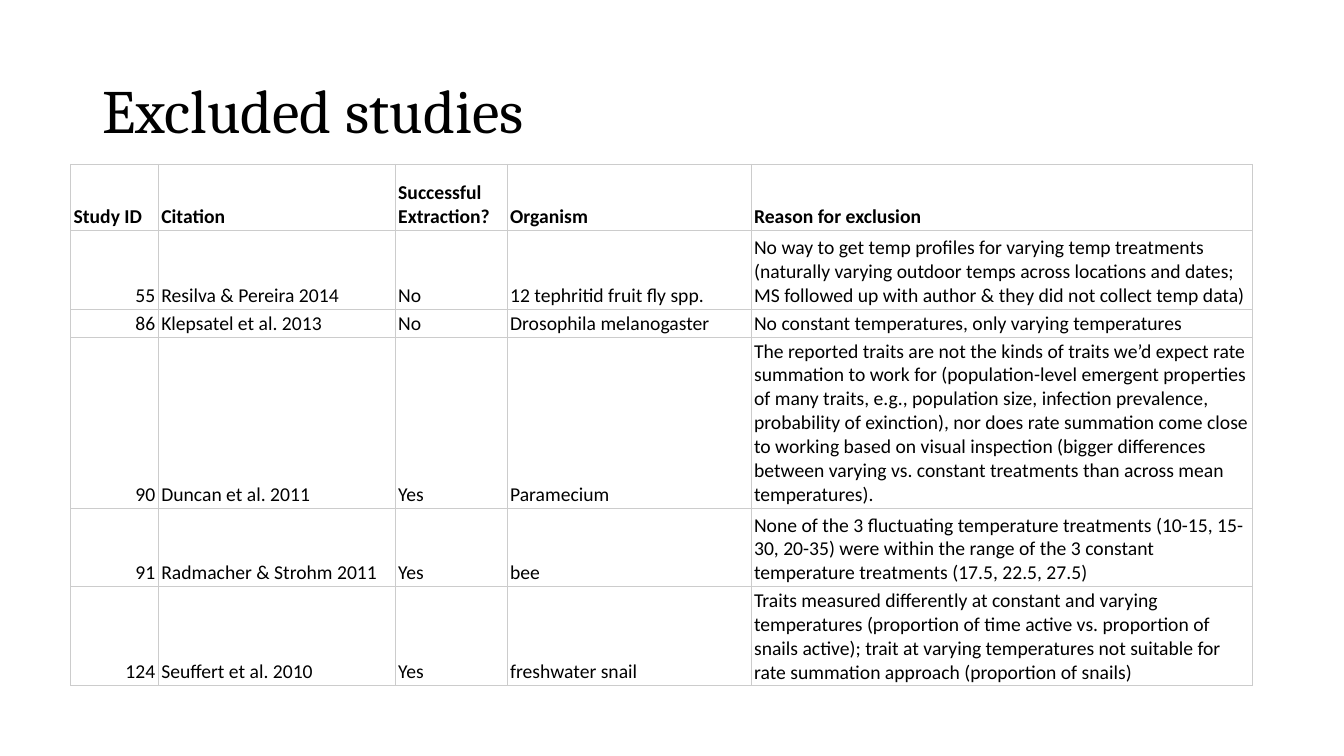
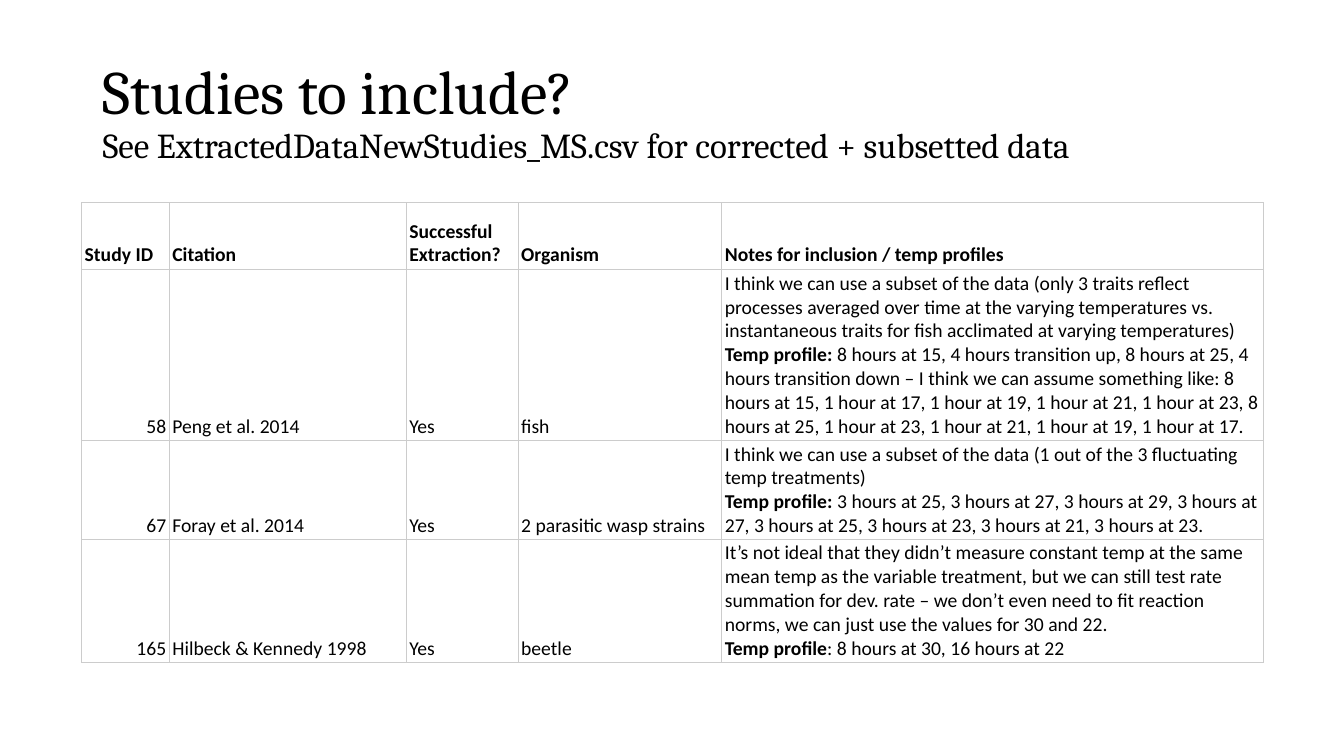
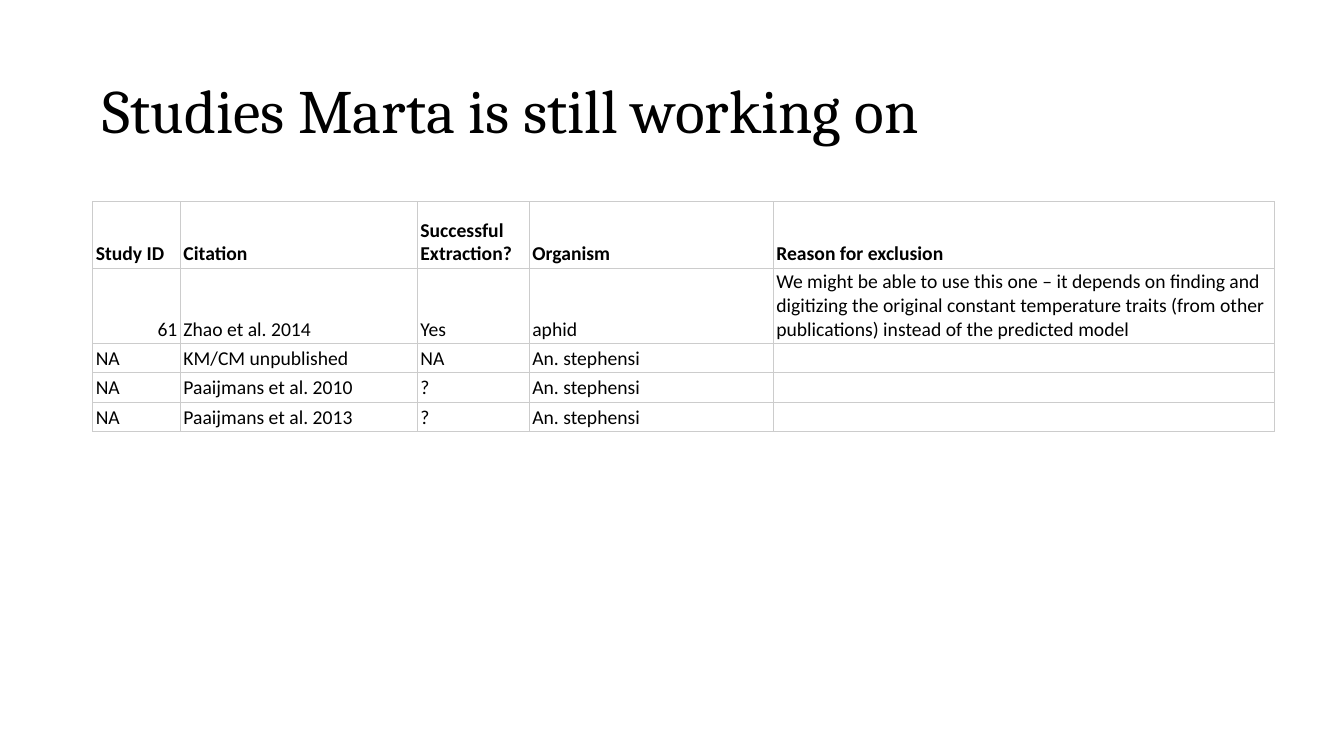
from dataclasses import dataclass
from typing import NamedTuple

import lxml.etree
import pptx
import pptx.dml.color
import pptx.enum.text
import pptx.oxml.ns
import pptx.util
from pptx.util import Inches

# Shared look
COLORS = {"text": "000000", "border": "CCCCCC"}
TITLE_FONT, TABLE_FONT = "Cambria", "Calibri"
TITLE_SIZE, SUBTITLE_SIZE, TABLE_SIZE = 44, 25, 14
BORDER_WIDTH = 0.75
HEADER_HEIGHT = 0.66
LINE_ROW = 0.29
COMMON_HEADERS = ("Study ID", "Citation", "Successful Extraction?", "Organism")
COMMON_WIDTHS = (0.87, 2.35, 1.11)
REASON_WIDTHS = (2.42, 4.97)
NOTES_WIDTHS = (2.02, 5.37)


class Note(NamedTuple):
    """A paragraph that may open with bold words."""
    text: str
    lead: str = ""


class Study(NamedTuple):
    height: float
    study_id: str
    citation: str
    extracted: str
    organism: str
    notes: tuple[Note, ...] = (Note(""),)


@dataclass(frozen=True)
class StudySlide:
    title: str
    left: float
    top: float
    last_header: str
    last_widths: tuple[float, float]
    studies: tuple[Study, ...]
    subtitle: str = ""


# Content
SLIDES = (
    StudySlide("Excluded studies", 0.7, 1.63, "Reason for exclusion", REASON_WIDTHS, (
        Study(0.78, "55", "Resilva & Pereira 2014", "No", "12 tephritid fruit fly spp.", (
            Note("No way to get temp profiles for varying temp treatments (naturally varying "
                 "outdoor temps across locations and dates; MS followed up with author & they "
                 "did not collect temp data)"),)),
        Study(0.27, "86", "Klepsatel et al. 2013", "No", "Drosophila melanogaster", (
            Note("No constant temperatures, only varying temperatures"),)),
        Study(1.7, "90", "Duncan et al. 2011", "Yes", "Paramecium", (
            Note("The reported traits are not the kinds of traits we’d expect rate summation to "
                 "work for (population-level emergent properties of many traits, e.g., "
                 "population size, infection prevalence, probability of exinction), nor does "
                 "rate summation come close to working based on visual inspection (bigger "
                 "differences between varying vs. constant treatments than across mean "
                 "temperatures)."),)),
        Study(0.78, "91", "Radmacher & Strohm 2011", "Yes", "bee", (
            Note("None of the 3 fluctuating temperature treatments (10-15, 15-30, 20-35) were "
                 "within the range of the 3 constant temperature treatments "
                 "(17.5, 22.5, 27.5)"),)),
        Study(0.98, "124", "Seuffert et al. 2010", "Yes", "freshwater snail", (
            Note("Traits measured differently at constant and varying temperatures (proportion "
                 "of time active vs. proportion of snails active); trait at varying "
                 "temperatures not suitable for rate summation approach "
                 "(proportion of snails)"),)),
    )),
    StudySlide("Studies to include?", 0.81, 2.01, "Notes for inclusion / temp profiles",
               NOTES_WIDTHS, (
        Study(1.7, "58", "Peng et al. 2014", "Yes", "fish", (
            Note("I think we can use a subset of the data (only 3 traits reflect processes "
                 "averaged over time at the varying temperatures vs. instantaneous traits for "
                 "fish acclimated at varying temperatures)"),
            Note("8 hours at 15, 4 hours transition up, 8 hours at 25, 4 hours transition down "
                 "– I think we can assume something like: 8 hours at 15, 1 hour at 17, 1 hour "
                 "at 19, 1 hour at 21, 1 hour at 23, 8 hours at 25, 1 hour at 23, 1 hour at 21, "
                 "1 hour at 19, 1 hour at 17.", "Temp profile: "))),
        Study(0.98, "67", "Foray et al. 2014", "Yes", "2 parasitic wasp strains", (
            Note("I think we can use a subset of the data (1 out of the 3 fluctuating temp "
                 "treatments)"),
            Note("3 hours at 25, 3 hours at 27, 3 hours at 29, 3 hours at 27, 3 hours at 25, "
                 "3 hours at 23, 3 hours at 21, 3 hours at 23.", "Temp profile: "))),
        Study(1.22, "165", "Hilbeck & Kennedy 1998", "Yes", "beetle", (
            Note("It’s not ideal that they didn’t measure constant temp at the same mean temp "
                 "as the variable treatment, but we can still test rate summation for dev. rate "
                 "– we don’t even need to fit reaction norms, we can just use the values for "
                 "30 and 22."),
            Note(": 8 hours at 30, 16 hours at 22", "Temp profile"))),
    ), "See ExtractedDataNewStudies_MS.csv for corrected + subsetted data"),
    StudySlide("Studies Marta is still working on", 0.92, 2, "Reason for exclusion",
               REASON_WIDTHS, (
        Study(0.75, "61", "Zhao et al. 2014", "Yes", "aphid", (
            Note("We might be able to use this one – it depends on finding and digitizing the "
                 "original constant temperature traits (from other publications) instead of "
                 "the predicted model"),)),
        Study(LINE_ROW, "NA", "KM/CM unpublished", "NA", "An. stephensi"),
        Study(LINE_ROW, "NA", "Paaijmans et al. 2010", "?", "An. stephensi"),
        Study(LINE_ROW, "NA", "Paaijmans et al. 2013", "?", "An. stephensi"),
    )),
)


def set_font(font, name: str, size: float) -> None:
    font.name = name
    font.size = pptx.util.Pt(size)
    font.color.rgb = pptx.dml.color.RGBColor.from_string(COLORS["text"])


def add_title(page, title: str, subtitle: str) -> None:
    box = page.shapes.add_textbox(Inches(0.92), Inches(0.4), Inches(11.5), Inches(1.45))
    frame = box.text_frame
    frame.word_wrap = True
    frame.vertical_anchor = pptx.enum.text.MSO_ANCHOR.MIDDLE
    para = frame.paragraphs[0]
    para.line_spacing = 0.9
    set_font(para.font, TITLE_FONT, TITLE_SIZE)
    para.add_run().text = title
    if subtitle:
        para.add_line_break()
        span = para.add_run()
        span.text = subtitle
        span.font.size = pptx.util.Pt(SUBTITLE_SIZE)


def set_borders(cell) -> None:
    qn = pptx.oxml.ns.qn
    properties = cell._tc.get_or_add_tcPr()
    for index, side in enumerate(("lnL", "lnR", "lnT", "lnB")):
        line = lxml.etree.Element(qn(f"a:{side}"), w=str(pptx.util.Pt(BORDER_WIDTH)))
        fill = lxml.etree.SubElement(line, qn("a:solidFill"))
        lxml.etree.SubElement(fill, qn("a:srgbClr"), val=COLORS["border"])
        properties.insert(index, line)


def fill_cell(cell, notes: tuple[Note, ...], bold: bool) -> None:
    cell.margin_left = cell.margin_right = Inches(0.03)
    cell.margin_top = cell.margin_bottom = Inches(0.02)
    cell.vertical_anchor = pptx.enum.text.MSO_ANCHOR.BOTTOM
    cell.fill.background()
    set_borders(cell)
    frame = cell.text_frame
    for index, note in enumerate(notes):
        para = frame.add_paragraph() if index else frame.paragraphs[0]
        set_font(para.font, TABLE_FONT, TABLE_SIZE)
        para.font.bold = bold
        if note.text.isdigit():
            para.alignment = pptx.enum.text.PP_ALIGN.RIGHT
        if note.lead:
            span = para.add_run()
            span.text = note.lead
            span.font.bold = True
        if note.text:
            para.add_run().text = note.text
        else:
            # Keeps an empty cell as low as its row
            lxml.etree.SubElement(para._p, pptx.oxml.ns.qn("a:endParaRPr"),
                                  sz=str(TABLE_SIZE * 100))


def add_study_table(page, content: StudySlide) -> None:
    widths = COMMON_WIDTHS + content.last_widths
    heights = [HEADER_HEIGHT] + [study.height for study in content.studies]
    table = page.shapes.add_table(
        len(heights), len(widths), Inches(content.left), Inches(content.top),
        Inches(sum(widths)), Inches(sum(heights))).table
    table.first_row = table.horz_banding = False
    for column, width in zip(table.columns, widths):
        column.width = Inches(width)
    for row, height in zip(table.rows, heights):
        row.height = Inches(height)

    rows = [[(Note(text),) for text in (*COMMON_HEADERS, content.last_header)]]
    for study in content.studies:
        rows.append([(Note(text),) for text in study[1:5]] + [study.notes])
    for row_index, row_notes in enumerate(rows):
        for column_index, notes in enumerate(row_notes):
            fill_cell(table.cell(row_index, column_index), notes, bold=row_index == 0)


def main() -> None:
    deck = pptx.Presentation()
    deck.slide_width, deck.slide_height = Inches(13.33), Inches(7.5)
    for content in SLIDES:
        page = deck.slides.add_slide(deck.slide_layouts[6])
        add_title(page, content.title, content.subtitle)
        add_study_table(page, content)
    deck.save("out.pptx")


if __name__ == "__main__":
    main()
